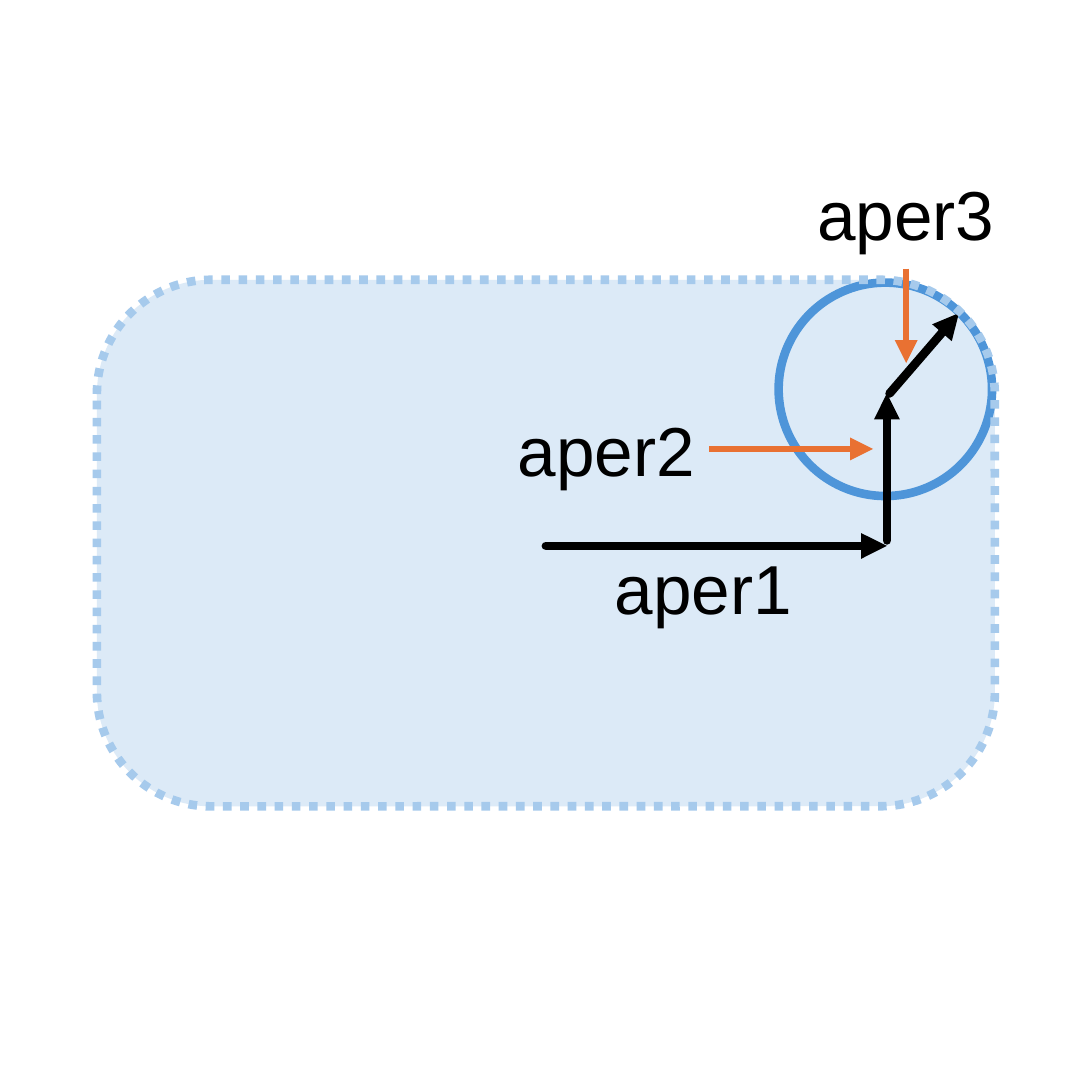
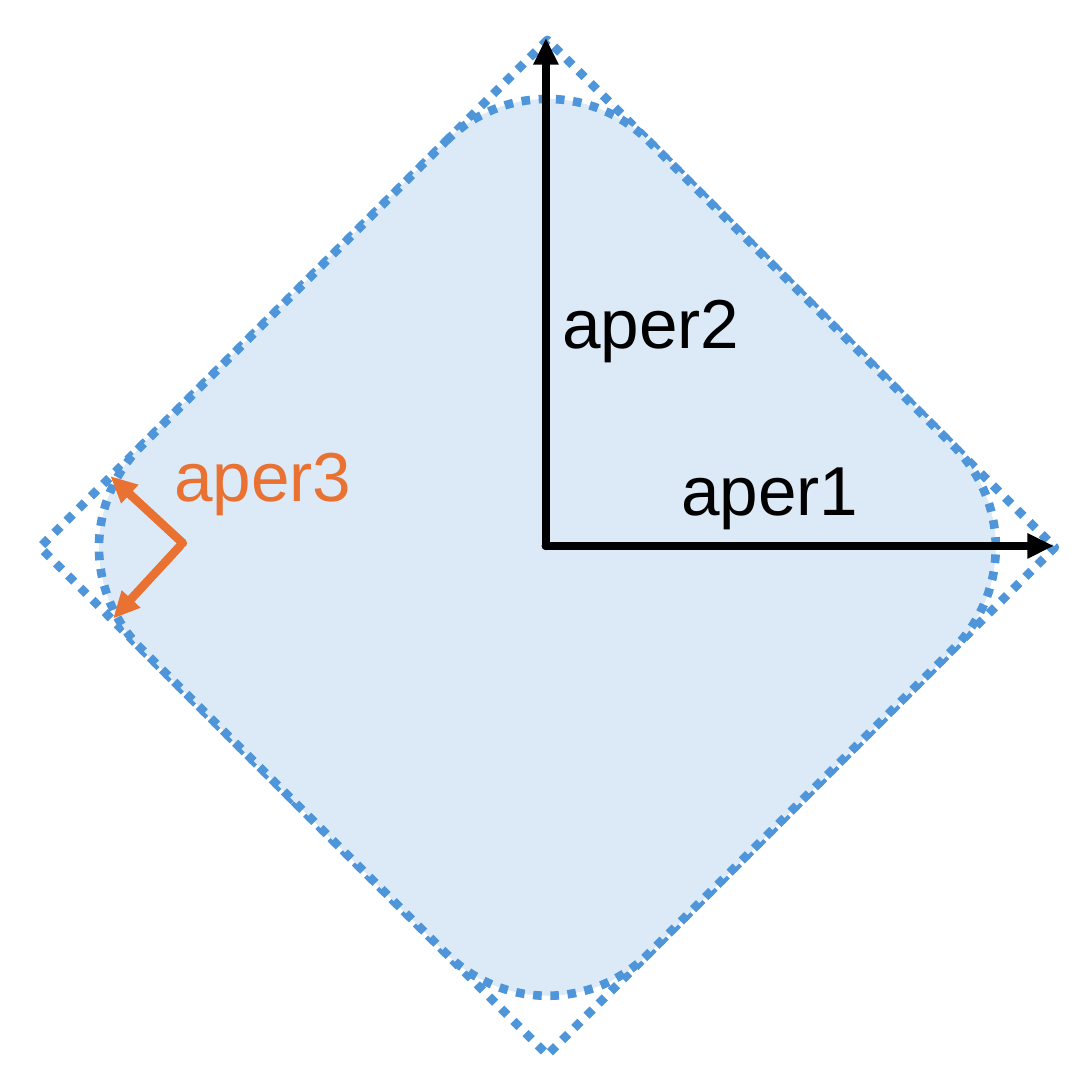
from lxml.etree import SubElement
from pptx import Presentation
from pptx.dml.color import RGBColor
from pptx.enum.dml import MSO_LINE
from pptx.enum.shapes import MSO_CONNECTOR, MSO_SHAPE
from pptx.enum.text import MSO_AUTO_SIZE
from pptx.oxml.ns import qn
from pptx.util import Emu, Pt

PX = 9144
SIDE = 394
CENTRE = SIDE // 2
FONT = "Arial"
BLACK = RGBColor(0x00, 0x00, 0x00)
ORANGE = RGBColor(0xE9, 0x71, 0x32)
BLUE = RGBColor(0x4E, 0x95, 0xD9)
LIGHT_BLUE = RGBColor(0xA6, 0xCA, 0xEC)
PALE_BLUE = RGBColor(0xDC, 0xEA, 0xF7)


def px(*lengths):
    return [Emu(n * PX) for n in lengths]


def add_outline(shapes, kind, box, fill=None, line=None, dotted=False, corner=None, rotation=0):
    sp = shapes.add_shape(kind, *px(*box))
    sp.shadow.inherit = False
    sp.rotation = rotation
    if corner is not None:
        sp.adjustments[0] = corner
    if fill is None:
        sp.fill.background()
    else:
        sp.fill.solid()
        sp.fill.fore_color.rgb = fill
    if line is None:
        sp.line.fill.background()
    else:
        sp.line.color.rgb = line
        sp.line.width = Pt(2.25)
        if dotted:
            sp.line.dash_style = MSO_LINE.ROUND_DOT
    return sp


def add_arrow(shapes, start, end, color=BLACK, width=2.25, cap="rnd"):
    cxn = shapes.add_connector(MSO_CONNECTOR.STRAIGHT, *px(*start, *end))
    cxn.line.color.rgb = color
    cxn.line.width = Pt(width)
    ln = cxn.line._get_or_add_ln()
    ln.set("cap", cap)
    SubElement(ln, qn("a:tailEnd"), type="triangle")
    SubElement(cxn._element.spPr, qn("a:effectLst"))
    return cxn


def add_label(shapes, text, left, top, color=BLACK, size=18):
    tb = shapes.add_textbox(*px(left, top, 85, 40))
    tf = tb.text_frame
    tf.word_wrap = False
    tf.auto_size = MSO_AUTO_SIZE.SHAPE_TO_FIT_TEXT
    r = tf.paragraphs[0].add_run()
    r.text = text
    r.font.name = FONT
    r.font.size = Pt(size)
    r.font.color.rgb = color
    return tb


def build_rounded_rectangle(shapes):
    aperture = (35, 101, 324, 190)
    corner = 0.217
    add_outline(shapes, MSO_SHAPE.ROUNDED_RECTANGLE, aperture, fill=PALE_BLUE, corner=corner)
    add_outline(shapes, MSO_SHAPE.OVAL, (281, 102, 77, 77), line=BLUE)
    add_arrow(shapes, (CENTRE, CENTRE), (320, CENTRE))
    add_arrow(shapes, (320, 195), (320, 142))
    add_label(shapes, "aper1", 212, 192)
    add_label(shapes, "aper3", 285, 57)
    add_arrow(shapes, (321, 142), (346, 113))
    add_outline(shapes, MSO_SHAPE.ROUNDED_RECTANGLE, aperture, line=LIGHT_BLUE,
                dotted=True, corner=corner)
    add_label(shapes, "aper2", 177, 142)
    for start, end in (((256, 162), (315, 162)), ((327, 97), (327, 131))):
        add_arrow(shapes, start, end, color=ORANGE, width=1.5, cap="flat")


def build_rounded_diamond(shapes):
    square = (68, 68, 259, 259)
    diamond = shapes.add_group_shape().shapes
    add_outline(diamond, MSO_SHAPE.RECTANGLE, square, line=BLUE, dotted=True, rotation=45)
    add_outline(diamond, MSO_SHAPE.ROUNDED_RECTANGLE, square, fill=PALE_BLUE, line=BLUE,
                dotted=True, corner=0.199, rotation=45)
    reach = 183
    add_arrow(shapes, (CENTRE, CENTRE), (CENTRE + reach, CENTRE))
    add_arrow(shapes, (CENTRE, CENTRE), (CENTRE, CENTRE - reach))
    add_label(shapes, "aper1", 236, 156)
    add_label(shapes, "aper2", 193, 96)
    add_arrow(shapes, (65, 197), (41, 223), color=ORANGE)
    add_label(shapes, "aper3", 53, 151, color=ORANGE)
    add_arrow(shapes, (66, 196), (40, 172), color=ORANGE)


def main():
    prs = Presentation()
    prs.slide_width, prs.slide_height = px(SIDE, SIDE)
    for build in (build_rounded_rectangle, build_rounded_diamond):
        build(prs.slides.add_slide(prs.slide_layouts[6]).shapes)
    prs.save("out.pptx")


if __name__ == "__main__":
    main()
